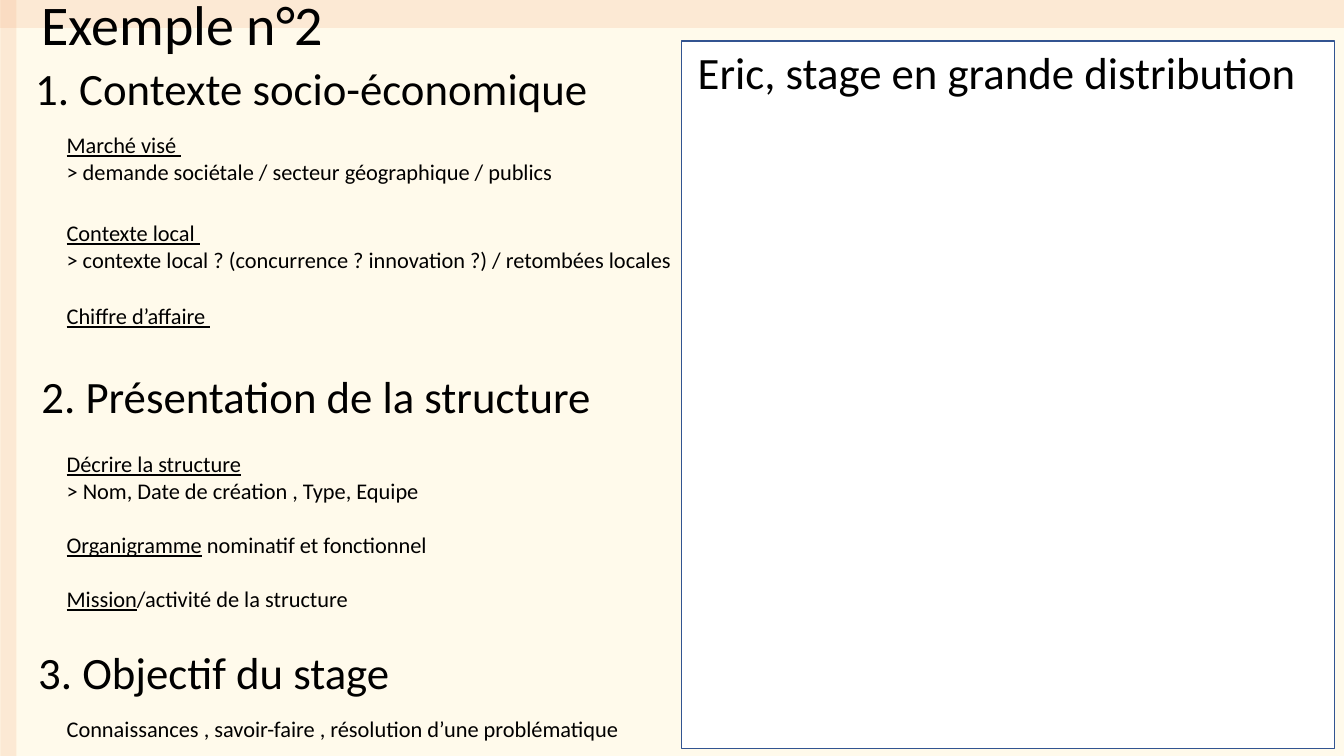
from dataclasses import dataclass

from lxml import etree
from pptx import Presentation
from pptx.dml.color import RGBColor
from pptx.enum.shapes import MSO_CONNECTOR, MSO_SHAPE
from pptx.enum.text import MSO_AUTO_SIZE
from pptx.oxml.ns import qn
from pptx.util import Pt

STRAIGHT = MSO_CONNECTOR.STRAIGHT
RECTANGLE = MSO_SHAPE.RECTANGLE
GROW = MSO_AUTO_SIZE.SHAPE_TO_FIT_TEXT

EMU_PER_PX = 9525
PAGE_WIDTH, PAGE_HEIGHT = 1280, 720
FONT = "Calibri"
TITLE_SIZE, HEADING_SIZE, BODY_SIZE = 40, 32, 16
BODY_LEFT = 54
LINE_GAP = 19.5
COLORS = {
    "background": "FFFAEB",
    "band": "F4B183",
    "text": "000000",
    "panel": "FFFFFF",
    "border": "325491",
}


@dataclass(frozen=True)
class Band:
    start: tuple[int, int]
    end: tuple[int, int]
    thickness: int


@dataclass(frozen=True)
class Line:
    underlined: str = ""
    plain: str = ""
    gap: float = 0


@dataclass(frozen=True)
class Label:
    left: int
    top: int
    width: int
    height: int
    lines: tuple[Line, ...]
    size: int = BODY_SIZE
    wrap: bool = False


BANDS = (
    Band((8, 0), (8, PAGE_HEIGHT), 15),
    Band((PAGE_WIDTH, 13), (0, 13), 27),
)

LEFT_LABELS = (
    Label(30, -15, 291, 74, (Line(plain="Exemple n°2"),), TITLE_SIZE),
    Label(24, 53, 551, 61, (Line(plain="1. Contexte socio-économique"),), HEADING_SIZE),
    Label(30, 346, 548, 61, (Line(plain="2. Présentation de la structure"),), HEADING_SIZE),
    Label(27, 609, 358, 61, (Line(plain="3. Objectif du stage"),), HEADING_SIZE),
    Label(BODY_LEFT, 120, 625, 61, (
        Line("Marché visé "),
        Line(plain="> demande sociétale / secteur géographique / publics"),
    ), wrap=True),
    Label(BODY_LEFT, 204, 698, 61, (
        Line("Contexte local "),
        Line(plain="> contexte local ? (concurrence ? innovation ?) / retombées locales"),
    ), wrap=True),
    Label(BODY_LEFT, 283, 330, 36, (Line("Chiffre d’affaire "),), wrap=True),
    Label(BODY_LEFT, 424, 374, 165, (
        Line("Décrire la structure"),
        Line(plain="> Nom, Date de création , Type, Equipe"),
        Line("Organigramme", " nominatif et fonctionnel", LINE_GAP),
        Line("Mission", "/activité de la structure", LINE_GAP),
    )),
    Label(BODY_LEFT, 676, 551, 36, (
        Line(plain="Connaissances , savoir-faire , résolution d’une problématique"),
    )),
)

PANEL_LABEL = Label(
    655, 38, 595, 61, (Line(plain="Eric, stage en grande distribution"),), HEADING_SIZE
)


def px(length: int) -> int:
    return length * EMU_PER_PX


def color(name: str) -> RGBColor:
    return RGBColor.from_string(COLORS[name])


def add_band(page, band: Band) -> None:
    points = (px(length) for length in band.start + band.end)
    connector = page.shapes.add_connector(STRAIGHT, *points)
    connector.line.width = px(band.thickness)
    connector.line.color.rgb = color("band")
    properties = connector._element.spPr
    tint = properties.find(".//" + qn("a:srgbClr"))
    etree.SubElement(tint, qn("a:alpha"), val="22000")
    etree.SubElement(properties, qn("a:effectLst"))


def add_span(para, text: str, *, size: int, underline: bool = False) -> None:
    span = para.add_run()
    span.text = text
    span.font.name = FONT
    span.font.size = Pt(size)
    span.font.color.rgb = color("text")
    span.font.underline = underline


def add_label(page, label: Label) -> None:
    box = page.shapes.add_textbox(
        px(label.left), px(label.top), px(label.width), px(label.height)
    )
    frame = box.text_frame
    frame.word_wrap = label.wrap
    frame.auto_size = GROW
    for index, line in enumerate(label.lines):
        para = frame.add_paragraph() if index else frame.paragraphs[0]
        if line.gap:
            para.space_before = Pt(line.gap)
        if line.underlined:
            add_span(para, line.underlined, size=label.size, underline=True)
        if line.plain:
            add_span(para, line.plain, size=label.size)


def add_panel(page) -> None:
    panel = page.shapes.add_shape(RECTANGLE, px(649), px(39), px(622), px(674))
    panel.shadow.inherit = False
    panel.fill.solid()
    panel.fill.fore_color.rgb = color("panel")
    panel.line.color.rgb = color("border")
    panel.line.width = Pt(1)


def main() -> None:
    deck = Presentation()
    deck.slide_width, deck.slide_height = px(PAGE_WIDTH), px(PAGE_HEIGHT)
    page = deck.slides.add_slide(deck.slide_layouts[6])
    page.background.fill.solid()
    page.background.fill.fore_color.rgb = color("background")
    for band in BANDS:
        add_band(page, band)
    for label in LEFT_LABELS:
        add_label(page, label)
    add_panel(page)
    add_label(page, PANEL_LABEL)
    deck.save("out.pptx")


if __name__ == "__main__":
    main()
